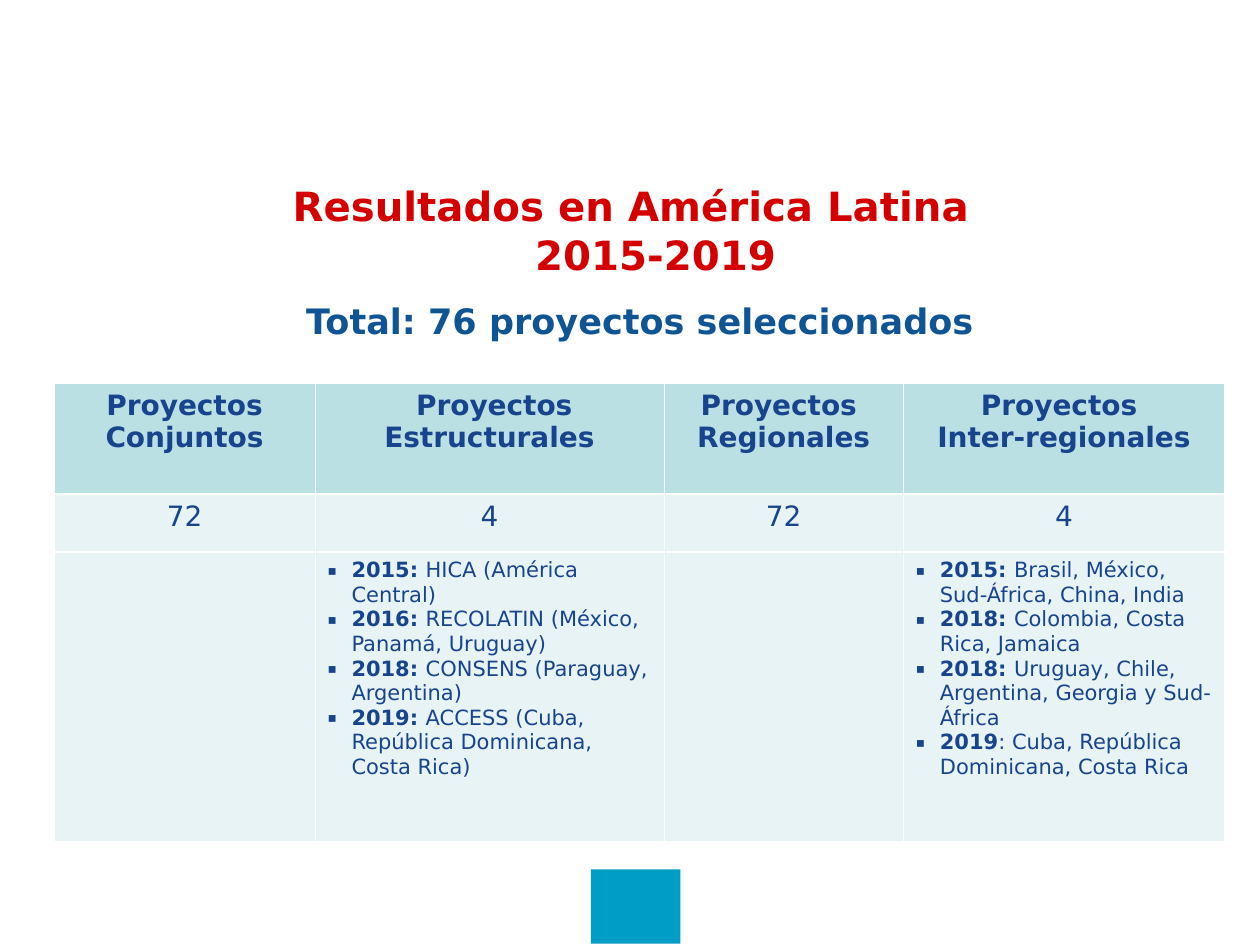
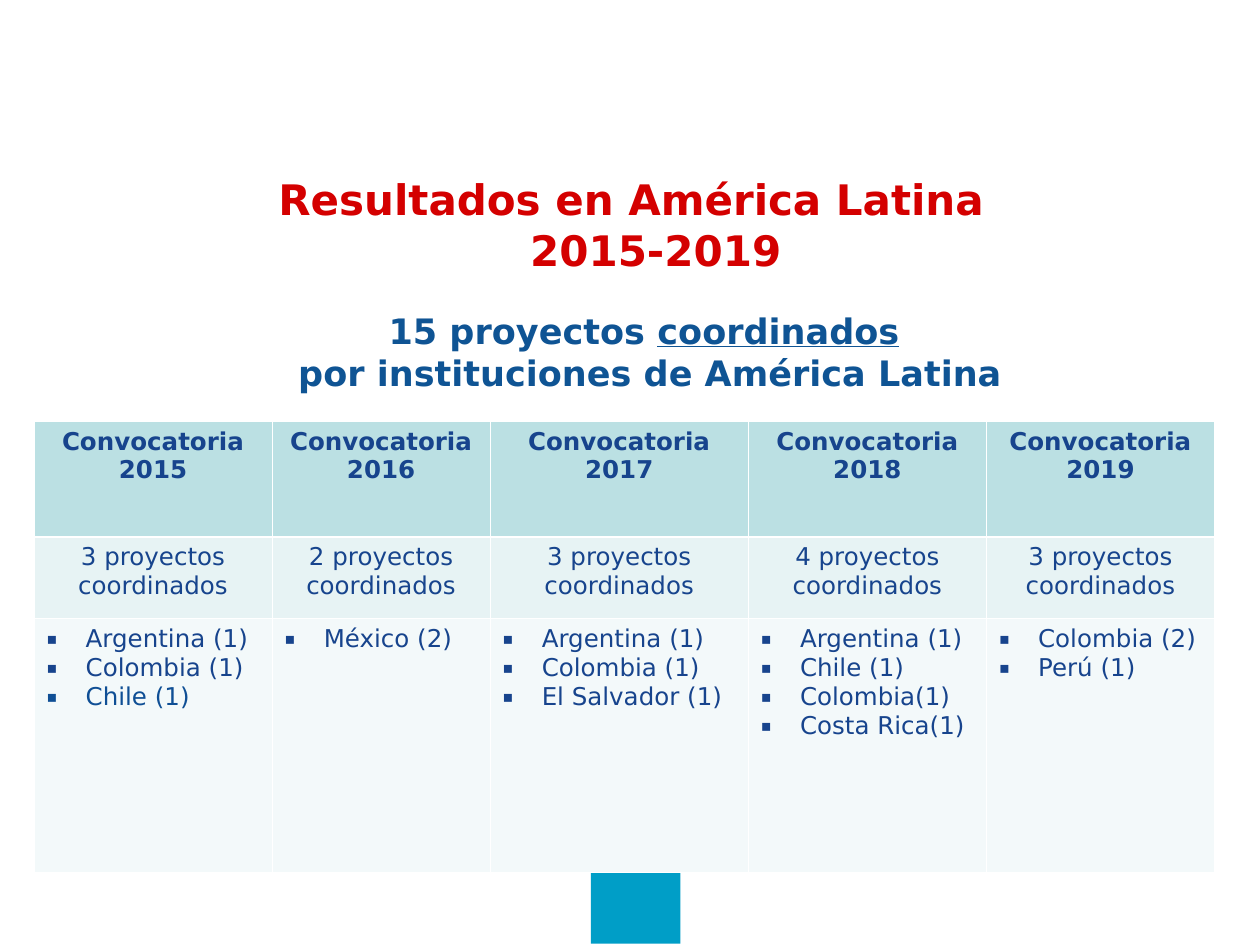
from lxml import etree
from pptx import Presentation
from pptx.dml.color import RGBColor
from pptx.enum.shapes import MSO_SHAPE
from pptx.enum.text import MSO_ANCHOR, MSO_AUTO_SIZE, PP_ALIGN
from pptx.oxml.ns import qn
from pptx.util import Inches, Pt

RECT = MSO_SHAPE.RECTANGLE
CENTER, LEFT = PP_ALIGN.CENTER, PP_ALIGN.LEFT
TOP, MIDDLE = MSO_ANCHOR.TOP, MSO_ANCHOR.MIDDLE
NO_FIT = MSO_AUTO_SIZE.NONE

FONT = "DejaVu Sans"
HEX = {
    "title": "D40000", "sub": "0F5494", "text": "17448D", "chile": "0F4F95",
    "head": "BBE0E3", "band": "E7F3F4", "pale": "F3F9FA",
    "block": "009EC7", "white": "FFFFFF",
}
THIN, THICK = 0.45, 1.47  # cell borders, in points
BOLD = {"bold": True}

TITLE = "Resultados en América Latina\v2015-2019"

# A cell is a list of paragraphs, a paragraph a list of runs,
# a run either plain text or (text, format).


def dated(*items):
    return [[(year, BOLD), rest] for year, rest in items]


def lines(*texts):
    return [[text] for text in texts]


SLIDES = [
    {
        "title": {"at": (0.51, 1.47, 9, 0.71), "size": 23},
        "sub": {"at": (0.59, 2.33, 8.98, 3.46),
                "paras": lines("Total: 76 proyectos seleccionados")},
        "table": {
            "at": (0.43, 3.04), "size": 16, "list_size": 12, "indent": 0.19,
            "cols": (2.07, 2.77, 1.9, 2.55), "rows": (0.88, 0.46, 2.3),
            "fills": ("head", "band", "band"),
            "rules": (THIN, THICK, THICK, THIN),
            "cells": [
                [lines("Proyectos Conjuntos"),
                 lines(" Proyectos", "Estructurales"),
                 lines("Proyectos ", "Regionales"),
                 lines("Proyectos ", "Inter-regionales")],
                [lines(count) for count in ("72", "4", "72", "4")],
                [[],
                 dated(("2015: ", "HICA (América Central)"),
                       ("2016: ", "RECOLATIN (México, Panamá, Uruguay)"),
                       ("2018: ", "CONSENS (Paraguay, Argentina)"),
                       ("2019: ", "ACCESS (Cuba, República Dominicana, "
                                  "Costa Rica)")),
                 [],
                 dated(("2015: ", "Brasil, México, Sud-África, China, India"),
                       ("2018: ", "Colombia, Costa Rica, Jamaica"),
                       ("2018: ", "Uruguay, Chile, Argentina, Georgia y "
                                  "Sud-África"),
                       ("2019", ": Cuba, República Dominicana, Costa Rica"))],
            ],
        },
    },
    {
        "title": {"at": (0.51, 1.31, 9, 0.94), "size": 24},
        "sub": {"at": (0.67, 2.41, 8.98, 4.37),
                "paras": [["15 proyectos ",
                           ("coordinados", {"underline": True}), " "],
                          ["por instituciones de América Latina"]]},
        "table": {
            "at": (0.27, 3.34), "size": 14, "list_size": 14, "indent": 0.31,
            "cols": (1.89, 1.73, 2.05, 1.89, 1.81), "rows": (0.92, 0.65, 2.01),
            "fills": ("head", "band", "pale"),
            "rules": (THIN, THICK, THIN, THIN),
            "cells": [
                [lines("Convocatoria", str(year))
                 for year in range(2015, 2020)],
                [lines(f"{count} proyectos", "coordinados")
                 for count in (3, 2, 3, 4, 3)],
                [[["Argentina (1)"], ["Colombia (1)"],
                  [("Chile (1)", {"color": "chile"})]],
                 lines("México (2)"),
                 lines("Argentina (1)", "Colombia (1)", "El Salvador (1)"),
                 lines("Argentina (1)", "Chile (1)", "Colombia(1)",
                       "Costa Rica(1)"),
                 lines("Colombia (2)", "Perú (1)")],
            ],
        },
    },
]


def rgb(name):
    return RGBColor.from_string(HEX[name])


def add_xml(parent, tag, **attrs):
    return etree.SubElement(parent, qn(tag),
                            {key: str(val) for key, val in attrs.items()})


def add_color(parent, name):
    add_xml(parent, "a:srgbClr", val=HEX[name])


def set_indent(para, left, first):
    props = para._p.get_or_add_pPr()
    props.set("marL", str(Inches(left)))
    props.set("indent", str(Inches(first)))
    return props


def add_bullet(para, indent, color):
    props = set_indent(para, indent, -indent)
    add_color(add_xml(props, "a:buClr"), color)
    add_xml(props, "a:buSzPct", val=65000)
    add_xml(props, "a:buFont", typeface=FONT)
    add_xml(props, "a:buChar", char="▪")


def add_runs(para, runs, size, color, **base):
    for item in runs:
        text, extra = (item, {}) if isinstance(item, str) else item
        look = {"color": color, **base, **extra}
        for num, part in enumerate(text.split("\v")):
            if num:
                para.add_line_break()
            run = para.add_run()
            run.text = part
            font = run.font
            font.name, font.size = FONT, Pt(size)
            font.color.rgb = rgb(look["color"])
            font.bold = look.get("bold", False)
            font.underline = look.get("underline", False)


def fill_frame(frame, paras, size, color, align=CENTER, bullet=0, **base):
    for num, runs in enumerate(paras):
        para = frame.add_paragraph() if num else frame.paragraphs[0]
        if bullet:
            first = runs[0]
            extra = {} if isinstance(first, str) else first[1]
            add_bullet(para, bullet, extra.get("color", color))
        para.alignment = align
        para.space_before = Pt(0)
        add_runs(para, runs, size, color, **base)


def place(shape, at, anchor):
    shape.left, shape.top, shape.width, shape.height = map(Inches, at)
    frame = shape.text_frame
    frame.word_wrap = True
    frame.auto_size = NO_FIT
    frame.vertical_anchor = anchor
    return frame


def add_title(slide, spec):
    frame = place(slide.shapes.title, spec["at"], MIDDLE)
    fill_frame(frame, [[TITLE]], spec["size"], "title", bold=True)
    set_indent(frame.paragraphs[0], 0.39, -0.39)


def add_sub(slide, spec):
    frame = place(slide.placeholders[1], spec["at"], TOP)
    fill_frame(frame, spec["paras"], 20, "sub", bold=True)
    for para in frame.paragraphs:
        add_xml(set_indent(para, 0, 0), "a:buNone")


def add_block(slide):
    """Plain coloured block at the foot of the slide."""
    box = slide.shapes.add_shape(RECT, *map(Inches, (4.69, 6.9, 0.71, 0.59)))
    box.fill.solid()
    box.fill.fore_color.rgb = rgb("block")
    box.line.fill.background()
    box.shadow.inherit = False


def add_borders(cell, above, below):
    props = cell._tc.get_or_add_tcPr()
    widths = {"L": THIN, "R": THIN, "T": above, "B": below}
    for num, (side, width) in enumerate(widths.items()):
        line = add_xml(props, f"a:ln{side}", w=Pt(width))
        add_color(add_xml(line, "a:solidFill"), "white")
        props.insert(num, line)


def add_grid(slide, spec):
    cols, rows, rules = spec["cols"], spec["rows"], spec["rules"]
    box = (*spec["at"], sum(cols), sum(rows))
    table = slide.shapes.add_table(len(rows), len(cols),
                                   *map(Inches, box)).table
    table.first_row = table.horz_banding = False
    for col, width in zip(table.columns, cols):
        col.width = Inches(width)
    for num, height in enumerate(rows):
        table.rows[num].height = Inches(height)
        if num == len(rows) - 1:
            look = {"size": spec["list_size"], "align": LEFT,
                    "bullet": spec["indent"]}
        else:
            look = {"size": spec["size"], "bold": num == 0}
        for pos, paras in enumerate(spec["cells"][num]):
            cell = table.cell(num, pos)
            cell.fill.solid()
            cell.fill.fore_color.rgb = rgb(spec["fills"][num])
            add_borders(cell, rules[num], rules[num + 1])
            fill_frame(cell.text_frame, paras, color="text", **look)


def main():
    deck = Presentation()
    deck.slide_width, deck.slide_height = Inches(10), Inches(7.5)
    for data in SLIDES:
        slide = deck.slides.add_slide(deck.slide_layouts[1])
        add_block(slide)
        add_title(slide, data["title"])
        add_sub(slide, data["sub"])
        add_grid(slide, data["table"])
    deck.save("out.pptx")


if __name__ == "__main__":
    main()
